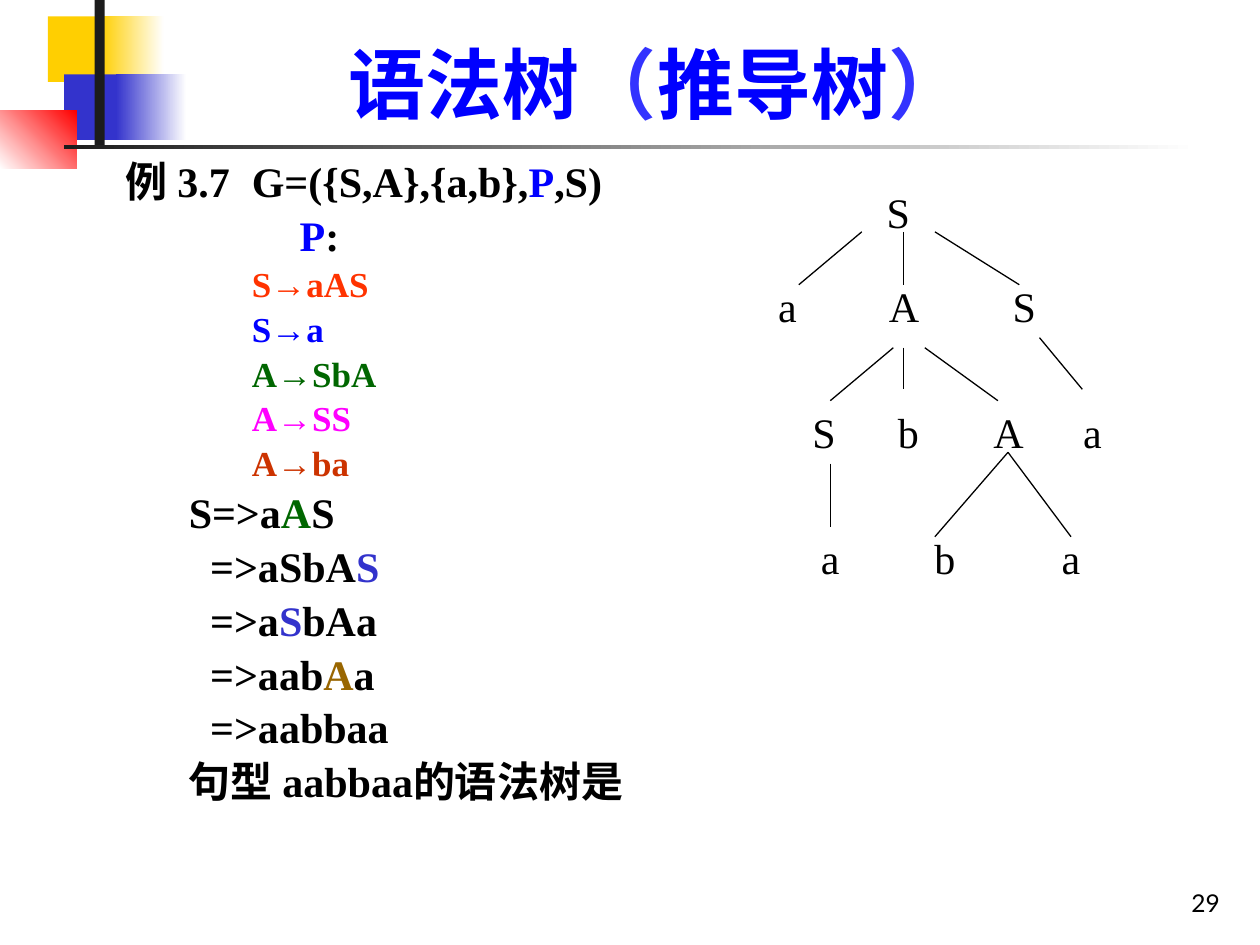
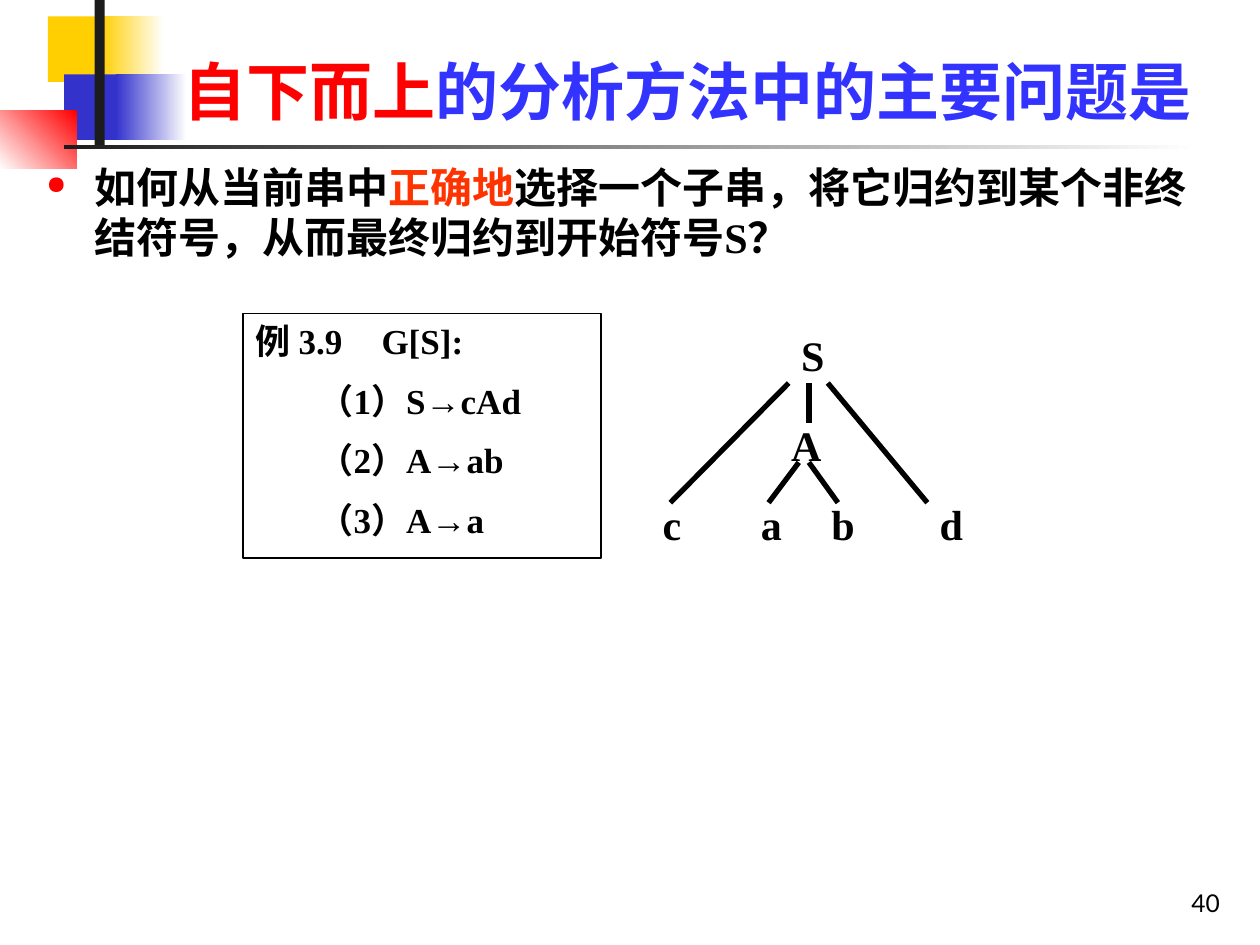
from lxml.etree import SubElement
from pptx import Presentation
from pptx.dml.color import RGBColor
from pptx.enum.shapes import MSO_CONNECTOR, MSO_SHAPE
from pptx.enum.text import MSO_ANCHOR, PP_ALIGN
from pptx.oxml.ns import qn
from pptx.util import Inches, Pt

COLORS = {
    "black": "000000", "white": "FFFFFF", "yellow": "FFCF01", "indigo": "3333CC",
    "red": "FF0000", "charcoal": "1C1C1C", "blue": "0000FF", "title": "3333FF",
    "orange": "FF3300", "green": "006600", "magenta": "FF00FF", "rust": "CC3300",
    "brown": "996600",
}

BAND = [
    ((0.38, 0.13, 0.67, 0.52), ["yellow"], 0),
    ((0.8, 0.13, 0.5, 0.52), ["yellow", "white"], 0),
    ((0.51, 0.59, 0.64, 0.52), ["indigo"], 0),
    ((0.92, 0.59, 0.56, 0.52), ["indigo", "white"], 0),
    ((0, 0.88, 0.61, 0.46), ["white", "red"], 45),
    ((0.75, 0, 0.08, 1.15), ["charcoal"], 0),
    ((0.51, 1.15, 9, 0.03), ["charcoal", "white"], 0),
]

SERIF = {"name": "Times New Roman", "bold": True}
FONTS = {
    "number": {"name": "Lato", "size": Pt(14), "bold": False},
    "large title": {**SERIF, "size": Pt(44)},
    "title": {**SERIF, "size": Pt(36)},
    "body": {**SERIF, "size": Pt(24)},
    "rule": {**SERIF, "size": Pt(20)},
    "node": {**SERIF, "size": Pt(24), "bold": False},
}

GRAMMAR_LAYOUT = {"before": 20, "line": 0.9, "align": PP_ALIGN.JUSTIFY}
HEADING = {**GRAMMAR_LAYOUT, "tab": 1.17}
RULE_HEAD = {**GRAMMAR_LAYOUT, "margin": 1.38}
RULE = {**GRAMMAR_LAYOUT, "margin": 1}
STEP_ONE = {**GRAMMAR_LAYOUT, "margin": 0.5}
STEP = {**GRAMMAR_LAYOUT, "margin": 0.67}

PRODUCTIONS = [("S→aAS", "orange"), ("S→a", "blue"), ("A→SbA", "green"),
               ("A→SS", "magenta"), ("A→ba", "rust")]
DERIVATION = [
    [("=>aSbA", "black"), ("S", "indigo")],
    [("=>a", "black"), ("S", "indigo"), ("bAa", "black")],
    [("=>aab", "black"), ("A", "brown"), ("a", "black")],
    [("=>aabbaa", "black")],
]
GRAMMAR = [
    ([("例 3.7\tG=({S,A},{a,b},", "black"), ("P", "blue"), (",S)", "black")], "body", HEADING),
    ([("P", "blue"), (":", "black")], "body", RULE_HEAD),
    *[([production], "rule", RULE) for production in PRODUCTIONS],
    ([("S=>a", "black"), ("A", "green"), ("S", "black")], "body", STEP_ONE),
    *[(step, "body", STEP) for step in DERIVATION],
    ([("句型 aabbaa的语法树是", "black")], "body", STEP_ONE),
]
QUESTION = [
    ([("如何从当前串中", "black"), ("正确地", "orange"),
      ("选择一个子串，将它归约到某个非终结符号，从而最终归约到开始符号S？", "black")],
     "body", {"margin": 0.38, "indent": -0.38, "before": 20, "bullet": "red"}),
]
EXAMPLE = [
    ([("例 3.9\tG[S]:", "black")], "rule", {"before": 50, "tab": 0.96}),
    *[([(f"（{number}）{production}", "black")], "rule", {"before": 50, "margin": 0.5})
      for number, production in enumerate(["S→cAd", "A→ab", "A→a"], 1)],
]

SLIDES = [
    {
        "number": "29",
        "title": [("语法树", "blue"), ("（", "title"), ("推导树", "blue"), ("）", "title")],
        "title font": "large title",
        "title width": 7.91,
        "body": GRAMMAR,
        "body box": (0.9, 1.23, 4.96, 5.48),
        "tree": {
            "font": "node", "align": PP_ALIGN.CENTER, "weight": 0.75,
            "rows": {
                1.43: [("S", 6.84, 0.58)],
                2.18: [("a", 6, 0.5), ("A", 6.84, 0.67), ("S", 7.84, 0.58)],
                3.18: [("S", 6.25, 0.58), ("b", 7, 0.42), ("A", 7.67, 0.67), ("a", 8.42, 0.5)],
                4.18: [("a", 6.34, 0.5), ("b", 7.25, 0.5), ("a", 8.25, 0.5)],
            },
            "branches": [
                (6.84, 1.84, 6.34, 2.26), (7.17, 1.84, 7.17, 2.26), (7.42, 1.84, 8.09, 2.26),
                (7.09, 2.76, 6.59, 3.18), (7.17, 2.76, 7.17, 3.09), (7.34, 2.76, 7.92, 3.18),
                (8.25, 2.68, 8.59, 3.09), (6.59, 3.68, 6.59, 4.18),
                (8, 3.59, 7.42, 4.26), (8, 3.59, 8.5, 4.26),
            ],
        },
    },
    {
        "number": "40",
        "title": [("自下而上", "red"), ("的分析方法中的主要问题是", "title")],
        "title font": "title",
        "title width": 8.39,
        "body": QUESTION,
        "body box": (0.27, 1.23, 9.52, 1.1),
        "example": EXAMPLE,
        "tree": {
            "font": "body", "align": PP_ALIGN.LEFT, "weight": 3,
            "rows": {
                2.57: [("S", 6.26, 0.39)],
                3.28: [("A", 6.18, 0.47)],
                3.91: [("c", 5.16, 0.32), ("a", 5.94, 0.39), ("b", 6.5, 0.39), ("d", 7.36, 0.47)],
            },
            "branches": [
                (6.26, 3.04, 5.32, 3.99), (6.42, 3.04, 6.42, 3.36), (6.57, 3.04, 7.36, 3.99),
                (6.34, 3.67, 6.1, 3.99), (6.42, 3.67, 6.65, 3.99),
            ],
        },
    },
]


def rgb(color):
    return RGBColor.from_string(COLORS[color])


def inches(*lengths):
    return [Inches(length) for length in lengths]


def format_paragraph(paragraph, layout):
    paragraph.alignment = layout.get("align", PP_ALIGN.LEFT)
    properties = paragraph._p.get_or_add_pPr()
    properties.set("marL", str(Inches(layout.get("margin", 0))))
    properties.set("indent", str(Inches(layout.get("indent", 0))))
    if "line" in layout:
        paragraph.line_spacing = layout["line"]
    if "before" in layout:
        paragraph.space_before = Pt(0)
        spacing = properties.find(qn("a:spcBef"))
        spacing.clear()
        SubElement(spacing, qn("a:spcPct"), val=str(layout["before"] * 1000))
    if "bullet" in layout:
        bullet_color = SubElement(properties, qn("a:buClr"))
        SubElement(bullet_color, qn("a:srgbClr"), val=COLORS[layout["bullet"]])
        SubElement(properties, qn("a:buSzPct"), val="60000")
        SubElement(properties, qn("a:buChar"), char="●")
    if "tab" in layout:
        tabs = SubElement(properties, qn("a:tabLst"))
        SubElement(tabs, qn("a:tab"), pos=str(Inches(layout["tab"])), algn="l")


def write(shape, paragraphs, anchor=MSO_ANCHOR.TOP):
    frame = shape.text_frame
    frame.word_wrap = True
    frame.vertical_anchor = anchor
    for index, (runs, font, layout) in enumerate(paragraphs):
        paragraph = frame.add_paragraph() if index else frame.paragraphs[0]
        format_paragraph(paragraph, layout)
        for text, color in runs:
            run = paragraph.add_run()
            run.text = text
            for name, value in FONTS[font].items():
                setattr(run.font, name, value)
            run.font.color.rgb = rgb(color)


def add_text(slide, box, paragraphs, anchor=MSO_ANCHOR.TOP):
    shape = slide.shapes.add_textbox(*inches(*box))
    write(shape, paragraphs, anchor)
    return shape


def add_rectangle(slide, box):
    shape = slide.shapes.add_shape(MSO_SHAPE.RECTANGLE, *inches(*box))
    shape.shadow.inherit = False
    return shape


def add_band(slide):
    for box, colors, angle in BAND:
        shape = add_rectangle(slide, box)
        shape.line.fill.background()
        if len(colors) == 1:
            shape.fill.solid()
            shape.fill.fore_color.rgb = rgb(colors[0])
            continue
        shape.fill.gradient()
        shape.fill.gradient_angle = angle
        for stop, color, position in zip(shape.fill.gradient_stops, colors, (0, 1)):
            stop.color.rgb = rgb(color)
            stop.position = position


def add_tree(slide, tree):
    nodes = {}
    layout = {"before": 50, "align": tree["align"]}
    for top, row in tree["rows"].items():
        for letter, left, width in row:
            node = add_text(slide, (left, top, width, 0.5),
                            [([(letter, "black")], tree["font"], layout)])
            nodes[round(left + width / 2, 2), top] = node
    for branch in tree["branches"]:
        line = slide.shapes.add_connector(MSO_CONNECTOR.STRAIGHT, *inches(*branch))
        line.line.color.rgb = rgb("black")
        line.line.width = Pt(tree["weight"])
        SubElement(line._element.spPr, qn("a:effectLst"))
        if branch[2:] in nodes:
            line.end_connect(nodes[branch[2:]], 0)


def add_example(slide, paragraphs):
    shape = add_rectangle(slide, (1.93, 2.49, 2.84, 1.94))
    shape.fill.background()
    shape.line.color.rgb = rgb("black")
    shape.line.width = Pt(0.75)
    write(shape, paragraphs)


def build_slide(presentation, content):
    slide = presentation.slides.add_slide(presentation.slide_layouts[6])
    add_band(slide)
    add_text(slide, (7.7, 6.83, 2.08, 0.5),
             [([(content["number"], "black")], "number", {"align": PP_ALIGN.RIGHT})],
             MSO_ANCHOR.BOTTOM)
    add_text(slide, (1.26, 0.23, content["title width"], 0.84),
             [(content["title"], content["title font"], {"align": PP_ALIGN.CENTER})],
             MSO_ANCHOR.BOTTOM)
    add_text(slide, content["body box"], content["body"])
    add_tree(slide, content["tree"])
    if "example" in content:
        add_example(slide, content["example"])


def main():
    presentation = Presentation()
    presentation.slide_width, presentation.slide_height = inches(10, 7.5)
    for content in SLIDES:
        build_slide(presentation, content)
    presentation.save("out.pptx")


if __name__ == "__main__":
    main()
